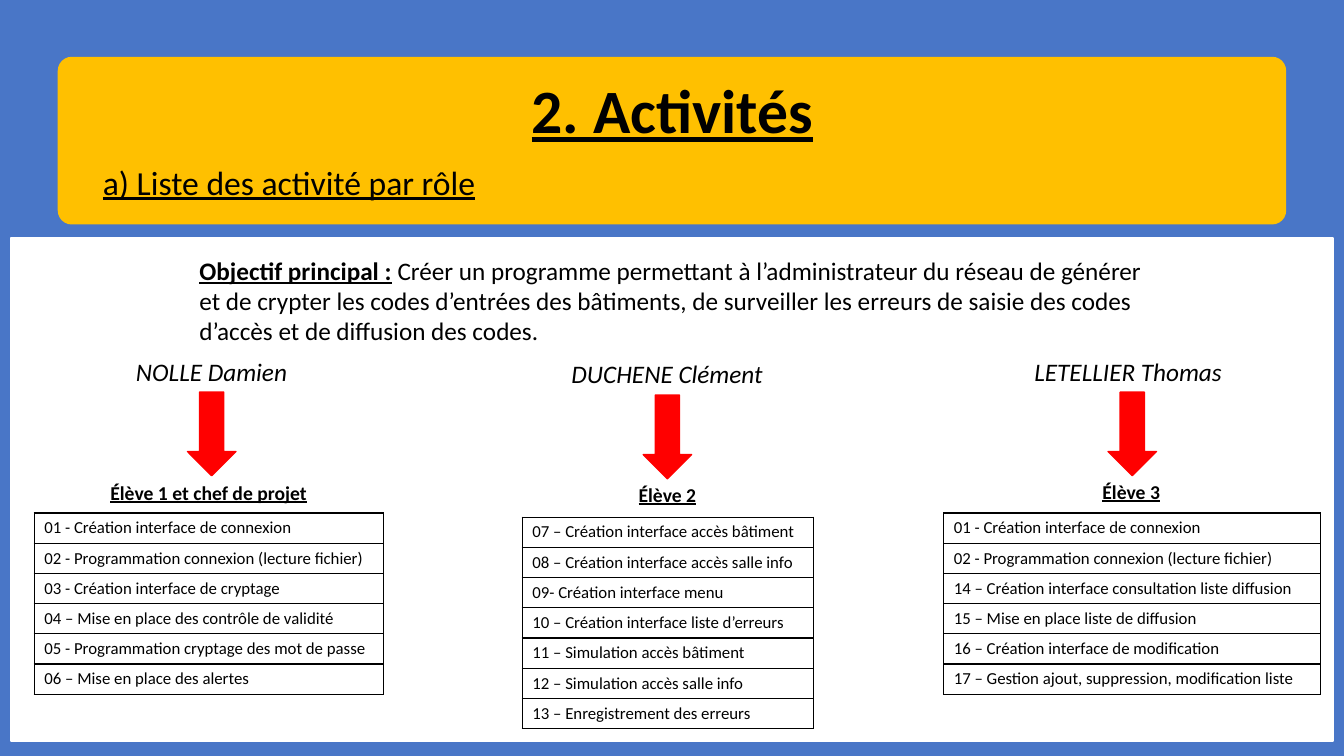
import pptx
import pptx.dml.color
import pptx.enum.shapes
import pptx.enum.text
import pptx.oxml
import pptx.oxml.ns
import pptx.util
from pptx.util import Inches

COLORS = {
    "background": "4976C7",
    "panel": "FFFFFF",
    "banner": "FFC000",
    "arrow": "FF0000",
    "text": "000000",
}
SHAPE = pptx.enum.shapes.MSO_SHAPE
ALIGN = pptx.enum.text.PP_ALIGN
ANCHOR = pptx.enum.text.MSO_ANCHOR
AUTO_SIZE = pptx.enum.text.MSO_AUTO_SIZE

TITLE = {"size": 44, "bold": True, "underline": True}
SUBTITLE = {"size": 24, "underline": True}
LABEL = {"size": 18, "bold": True, "underline": True}
BODY = {"size": 18}
NAME = {"size": 18, "italic": True}
ROLE = {"size": 14, "bold": True, "underline": True}
TASK = {"size": 12, "bold": False}

ROW_HEIGHT = 0.3
ARROW_SIZE = (0.48, 0.83)

# Boxes are (left, top, width, height); the arrow and table give left, and left and width.
STUDENTS = [
    {
        "name": "NOLLE Damien", "name_box": (1.25, 3.49, 1.71, 0.4),
        "role": "Élève 1 et chef de projet", "role_box": (0.99, 4.72, 2.16, 0.34),
        "arrow": (1.86, 3.89), "table": (0.34, 5.09, 3.46),
        "tasks": [
            "01 - Création interface de connexion",
            "02 - Programmation connexion (lecture fichier)",
            "03 - Création interface de cryptage",
            "04 – Mise en place des contrôle de validité",
            "05 - Programmation cryptage des mot de passe",
            "06 – Mise en place des alertes",
        ],
    },
    {
        "name": "DUCHENE Clément", "name_box": (5.57, 3.51, 2.1, 0.4),
        "role": "Élève 2", "role_box": (6.2, 4.74, 0.84, 0.34),
        "arrow": (6.38, 3.92), "table": (5.18, 5.13, 2.89),
        "tasks": [
            "07 – Création interface accès bâtiment",
            "08 – Création interface accès salle info",
            "09- Création interface menu",
            "10 – Création interface liste d’erreurs",
            "11 – Simulation accès bâtiment",
            "12 – Simulation accès salle info",
            "13 – Enregistrement des erreurs",
        ],
    },
    {
        "name": "LETELLIER Thomas", "name_box": (10.16, 3.49, 2.12, 0.4),
        "role": "Élève 3", "role_box": (10.8, 4.71, 0.84, 0.34),
        "arrow": (10.99, 3.89), "table": (9.36, 5.09, 3.74),
        "tasks": [
            "01 - Création interface de connexion",
            "02 - Programmation connexion (lecture fichier)",
            "14 – Création interface consultation liste diffusion",
            "15 – Mise en place liste de diffusion",
            "16 – Création interface de modification",
            "17 – Gestion ajout, suppression, modification liste",
        ],
    },
]


def rgb(name):
    return pptx.dml.color.RGBColor.from_string(COLORS[name])


def add_run(p, text, style):
    r = p.add_run()
    r.text = text
    r.font.name = "Calibri"
    r.font.color.rgb = rgb("text")
    for key, value in style.items():
        setattr(r.font, key, pptx.util.Pt(value) if key == "size" else value)


def add_panel(s, kind, box, color):
    sp = s.shapes.add_shape(kind, *map(Inches, box))
    sp.shadow.inherit = False
    sp.fill.solid()
    sp.fill.fore_color.rgb = rgb(color)
    sp.line.color.rgb = rgb(color)
    sp.line.width = pptx.util.Pt(1)
    return sp


def add_text(s, box, runs, align=ALIGN.LEFT, wrap=False):
    sp = s.shapes.add_textbox(*map(Inches, box))
    tf = sp.text_frame
    tf.word_wrap = wrap
    p = tf.paragraphs[0]
    p.alignment = align
    for text, style in runs:
        add_run(p, text, style)


def fill_placeholder(s, sp, box, text, style, align, anchor):
    """Move a placeholder in front of the panels and give it one plain line."""
    s.shapes._spTree.append(sp._element)
    sp.left, sp.top, sp.width, sp.height = map(Inches, box)
    tf = sp.text_frame
    tf.auto_size = AUTO_SIZE.NONE
    tf.vertical_anchor = anchor
    p = tf.paragraphs[0]
    p.alignment = align
    p.line_spacing = 0.9
    add_run(p, text, style)
    return p


def remove_bullet(p):
    pPr = p._p.get_or_add_pPr()
    pPr.set("marL", "0")
    pPr.set("indent", "0")
    pPr.append(pptx.oxml.parse_xml(f'<a:buNone {pptx.oxml.ns.nsdecls("a")}/>'))


def add_borders(cell):
    tcPr = cell._tc.get_or_add_tcPr()
    for side in ("lnL", "lnR", "lnT", "lnB"):
        tcPr.append(pptx.oxml.parse_xml(
            f'<a:{side} {pptx.oxml.ns.nsdecls("a")} w="12700"><a:solidFill>'
            f'<a:srgbClr val="{COLORS["text"]}"/></a:solidFill></a:{side}>'))


def add_task_table(s, left, top, width, tasks):
    box = (left, top, width, ROW_HEIGHT * len(tasks))
    table = s.shapes.add_table(len(tasks), 1, *map(Inches, box)).table
    table.first_row = table.horz_banding = False
    for i, task in enumerate(tasks):
        cell = table.cell(i, 0)
        add_borders(cell)
        cell.fill.background()
        cell.margin_top = cell.margin_bottom = Inches(0.03)
        cell.vertical_anchor = ANCHOR.MIDDLE
        add_run(cell.text_frame.paragraphs[0], task, TASK)


def add_student(s, student):
    add_text(s, student["name_box"], [(student["name"], NAME)])
    add_panel(s, SHAPE.DOWN_ARROW, student["arrow"] + ARROW_SIZE, "arrow")
    add_text(s, student["role_box"], [(student["role"], ROLE)], ALIGN.CENTER)
    add_task_table(s, *student["table"], student["tasks"])


def main():
    prs = pptx.Presentation()
    prs.slide_width, prs.slide_height = Inches(13.33), Inches(7.5)
    s = prs.slides.add_slide(prs.slide_layouts[1])
    s.background.fill.solid()
    s.background.fill.fore_color.rgb = rgb("background")

    add_panel(s, SHAPE.RECTANGLE, (0.11, 2.36, 13.11, 4.99), "panel")
    banner = add_panel(s, SHAPE.ROUNDED_RECTANGLE, (0.58, 0.57, 12.17, 1.65), "banner")
    banner.adjustments[0] = 0.08

    title, body = s.shapes.title, s.placeholders[1]
    fill_placeholder(s, title, (0.92, 0.4, 11.5, 1.45), "2. Activités",
                     TITLE, ALIGN.CENTER, ANCHOR.MIDDLE)
    p = fill_placeholder(s, body, (0.92, 1.6, 11.5, 0.48), "a) Liste des activité par rôle",
                         SUBTITLE, ALIGN.LEFT, ANCHOR.TOP)
    p.space_before = pptx.util.Pt(10)
    remove_bullet(p)

    add_text(s, (1.88, 2.48, 9.76, 1.01), [
        ("Objectif principal :", LABEL),
        (" Créer un programme permettant à l’administrateur du réseau de générer et de "
         "crypter les codes d’entrées des bâtiments, de surveiller les erreurs de saisie "
         "des codes d’accès et de diffusion des codes.", BODY),
    ], wrap=True)
    for student in STUDENTS:
        add_student(s, student)
    prs.save("out.pptx")


if __name__ == "__main__":
    main()
